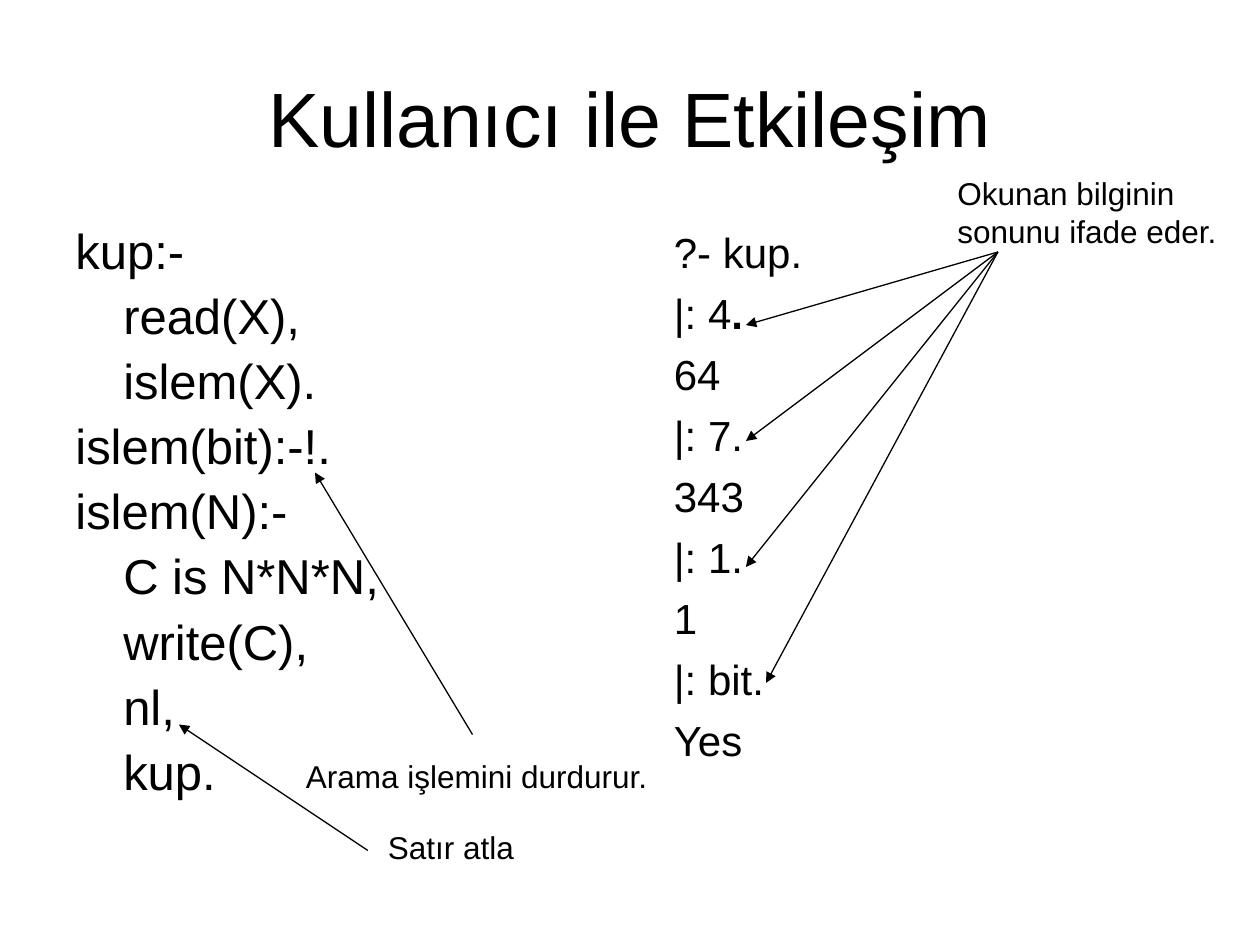
from typing import NamedTuple

from lxml import etree
from pptx import Presentation
from pptx.dml.color import RGBColor
from pptx.enum.shapes import MSO_CONNECTOR
from pptx.enum.text import MSO_ANCHOR, MSO_AUTO_SIZE, PP_ALIGN
from pptx.oxml.ns import qn
from pptx.util import Inches, Pt

BLACK = RGBColor(0, 0, 0)
FONT = "Arial"
LEFT, CENTER = PP_ALIGN.LEFT, PP_ALIGN.CENTER
TOP, MIDDLE = MSO_ANCHOR.TOP, MSO_ANCHOR.MIDDLE
FIT, FIXED = MSO_AUTO_SIZE.SHAPE_TO_FIT_TEXT, MSO_AUTO_SIZE.NONE
STRAIGHT = MSO_CONNECTOR.STRAIGHT
HANG = 0.38


class Box(NamedTuple):
    left: float
    top: float
    width: float
    height: float


class Point(NamedTuple):
    x: float
    y: float


class Note(NamedTuple):
    box: Box
    lines: list
    start: Point
    ends: list


CODE = ["kup:-", "\tread(X),", "\tislem(X).", "islem(bit):-!.", "islem(N):-",
        "\tC is N*N*N,", "\twrite(C),", "\tnl,", "\tkup."]
RUN = ["?- kup.", ("|: 4", "."), "64", "|: 7.", "343", "|: 1.", "1", "|: bit.", "Yes"]
NOTES = [
    Note(Box(7.5, 1.33, 2.27, 0.7), ["Okunan bilginin", "sonunu ifade eder."],
         Point(7.92, 2), [Point(5.92, 2.58), Point(5.92, 3.5),
                          Point(5.92, 4.5), Point(6.08, 5.42)]),
    Note(Box(2.33, 5.96, 2.92, 0.4), ["Arama işlemini durdurur."],
         Point(3.75, 5.83), [Point(2.5, 3.75)]),
    Note(Box(2.98, 6.52, 1.2, 0.4), ["Satır atla"],
         Point(2.92, 6.75), [Point(1.42, 5.75)]),
]


def add_tabs(para) -> None:
    props = para._p.get_or_add_pPr()
    props.set("marL", str(Inches(HANG)))
    props.set("indent", str(-Inches(HANG)))
    tabs = etree.SubElement(props, qn("a:tabLst"))
    for inch in range(8):
        etree.SubElement(tabs, qn("a:tab"), pos=str(Inches(inch)), algn="l")


def add_text(slide, box: Box, lines: list, *, size: int, align=LEFT, anchor=TOP,
             wrap: bool = True, hang: bool = False, gap: int = 0,
             pitch: float = 1.0) -> None:
    frame = slide.shapes.add_textbox(*map(Inches, box)).text_frame
    frame.word_wrap = wrap
    frame.auto_size = FIXED if wrap else FIT
    frame.vertical_anchor = anchor
    for row, line in enumerate(lines):
        para = frame.add_paragraph() if row else frame.paragraphs[0]
        if hang:
            add_tabs(para)
        para.alignment = align
        para.line_spacing = pitch
        para.space_before = Pt(gap if row else 0)
        parts = (line,) if isinstance(line, str) else line
        for spot, part in enumerate(parts):
            run = para.add_run()
            run.text = part
            run.font.name = FONT
            run.font.size = Pt(size)
            run.font.bold = spot > 0
            run.font.color.rgb = BLACK


def add_arrow(slide, start: Point, end: Point) -> None:
    arrow = slide.shapes.add_connector(STRAIGHT, *map(Inches, start + end))
    arrow.line.color.rgb = BLACK
    arrow.line.width = Pt(0.75)
    etree.SubElement(arrow.line._get_or_add_ln(), qn("a:tailEnd"), type="triangle")
    etree.SubElement(arrow._element.spPr, qn("a:effectLst"))


def main() -> None:
    deck = Presentation()
    deck.slide_width, deck.slide_height = Inches(10), Inches(7.5)
    slide = deck.slides.add_slide(deck.slide_layouts[6])
    add_text(slide, Box(0.5, 0.3, 9, 1.25), ["Kullanıcı ile Etkileşim"],
             size=44, align=CENTER, anchor=MIDDLE)
    add_text(slide, Box(0.5, 1.75, 4.08, 4.95), CODE,
             size=28, hang=True, gap=7, pitch=0.9)
    add_text(slide, Box(5.25, 1.75, 1.83, 4.95), RUN, size=24, hang=True, gap=6)
    for note in NOTES:
        for end in note.ends:
            add_arrow(slide, note.start, end)
        add_text(slide, note.box, note.lines, size=18, wrap=False)
    deck.save("out.pptx")


if __name__ == "__main__":
    main()
